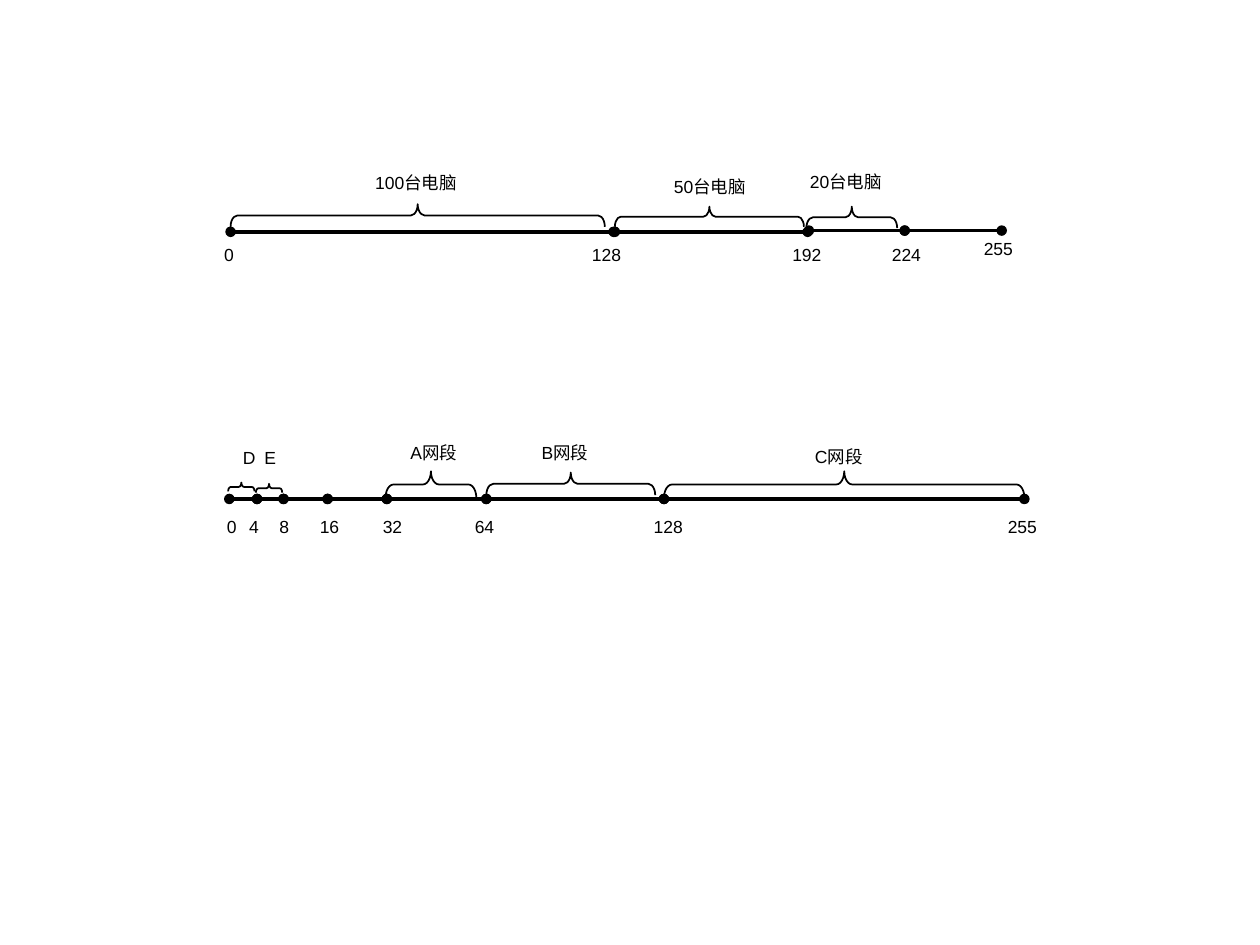
import pptx
import pptx.util
import pptx.dml.color
import pptx.enum.shapes
import pptx.oxml
import pptx.oxml.ns
import lxml.etree

PX = 9144  # 100 px to the inch
INK = "000000"
LABEL_HEIGHT = 27


def px(value):
    return pptx.util.Emu(value * PX)


def rgb(hex_color):
    return pptx.dml.color.RGBColor.from_string(hex_color)


def add_segment(slide, x1, x2, y):
    """Line with a round dot at each end."""
    line = slide.shapes.add_connector(
        pptx.enum.shapes.MSO_CONNECTOR.STRAIGHT, px(x1), px(y), px(x2), px(y))
    line.line.color.rgb = rgb(INK)
    line.line.width = pptx.util.Pt(2)
    ln = line.line._get_or_add_ln()
    for end in ("a:headEnd", "a:tailEnd"):
        lxml.etree.SubElement(ln, pptx.oxml.ns.qn(end), type="oval")
    lxml.etree.SubElement(line._element.spPr, pptx.oxml.ns.qn("a:effectLst"))


def add_brace(slide, x, y, w, h):
    """Brace pointing up that fills the box: a left brace turned about its centre."""
    sp = slide.shapes.add_shape(
        pptx.enum.shapes.MSO_SHAPE.LEFT_BRACE,
        px(x + (w - h) / 2), px(y + (h - w) / 2), px(h), px(w))
    sp.rotation = 90
    sp.adjustments[0] = 0.3
    sp.shadow.inherit = False
    sp.fill.background()
    sp.line.color.rgb = rgb(INK)
    sp.line.width = pptx.util.Pt(1)


def add_label(slide, text, x, y, w):
    box = slide.shapes.add_textbox(px(x), px(y), px(w), px(LABEL_HEIGHT))
    tf = box.text_frame
    tf.word_wrap = True
    p = tf.paragraphs[0]
    p.text = text
    p.font.size = pptx.util.Pt(10)
    p.font.name = "Arial"
    p.font.color.rgb = rgb(INK)


def add_number_line(slide, left, top, segments, braces, labels):
    """Number line whose parts are offsets from its zero point."""
    for x1, x2, y in segments:
        add_segment(slide, left + x1, left + x2, top + y)
    for x, y, w, h in braces:
        add_brace(slide, left + x, top + y, w, h)
    for text, x, y, w in labels:
        add_label(slide, text, left + x, top + y, w)


def main():
    prs = pptx.Presentation()
    prs.slide_width, prs.slide_height = px(1000), px(750)
    slide = prs.slides.add_slide(prs.slide_layouts[6])

    # Address range split by number of computers
    add_number_line(
        slide, 183, 183,
        segments=[(0, 304, 1), (305, 458, 1), (459, 535, 0), (535, 612, 0)],
        braces=[(0, -21, 297, 18), (305, -19, 150, 16), (457, -19, 72, 17)],
        labels=[("0", -15, 6, 45), ("128", 277, 6, 70), ("192", 436, 6, 70),
                ("224", 515, 6, 47), ("255", 588, 1, 47),
                ("100台电脑", 105, -51, 94), ("50台电脑", 342, -48, 94),
                ("20台电脑", 450, -52, 94)])

    # Address range split into segments A to E
    stops = [0, 22, 43, 78, 125, 204, 345, 631]
    add_number_line(
        slide, 182, 396,
        segments=[(x1, x2, 0) for x1, x2 in zip(stops, stops[1:])],
        braces=[(-1, -13, 21, 7), (21, -12, 21, 7), (124, -22, 72, 21),
                (204, -21, 134, 18), (345, -22, 286, 21)],
        labels=[("0", -8, 9, 16), ("4", 6, 9, 26), ("8", 30, 9, 26),
                ("16", 62, 9, 53), ("32", 112, 9, 53), ("64", 185, 9, 53),
                ("128", 327, 9, 70), ("255", 608, 9, 47),
                ("D", 1, -46, 32), ("E", 18, -46, 32), ("A网段", 134, -50, 94),
                ("B网段", 238, -50, 94), ("C网段", 455, -47, 94)])

    prs.save("out.pptx")


if __name__ == "__main__":
    main()
